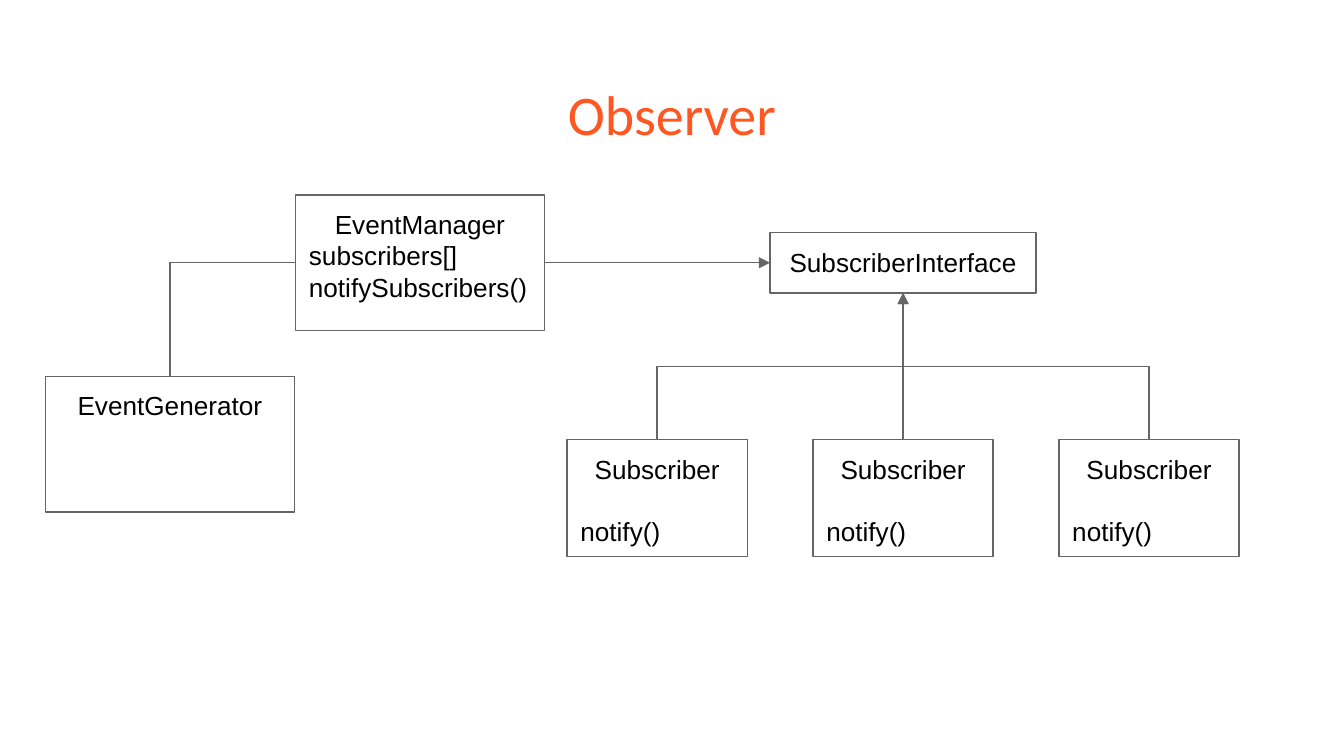
import pptx
import pptx.dml.color
import pptx.enum.shapes
import pptx.enum.text
import pptx.oxml.ns
import pptx.util
from lxml import etree

Inches = pptx.util.Inches
Pt = pptx.util.Pt
RGBColor = pptx.dml.color.RGBColor
Align = pptx.enum.text.PP_ALIGN
ConnectorType = pptx.enum.shapes.MSO_CONNECTOR
qn = pptx.oxml.ns.qn

ORANGE = RGBColor(0xFF, 0x57, 0x22)
GRAY = RGBColor(0x66, 0x66, 0x66)
BLACK = RGBColor(0, 0, 0)
TOP, LEFT, BOTTOM, RIGHT = range(4)

# Content: class name, members, space before members in points
TITLE = "Observer"
MANAGER = ("EventManager", ["subscribers[]", "notifySubscribers()"], 0)
INTERFACE = ("SubscriberInterface", [], 0)
GENERATOR = ("EventGenerator", [], 0)
SUBSCRIBER = ("Subscriber", ["notify()"], 16.5)

# Layout in inches, on a 16:9 slide
SLIDE_WIDTH = 10
SLIDE_HEIGHT = SLIDE_WIDTH * 9 / 16
SUBSCRIBER_COUNT = 3
SUBSCRIBER_LEFT, SUBSCRIBER_STEP = 4.22, 1.83


def prepare_frame(frame):
    frame.word_wrap = True
    frame.auto_size = pptx.enum.text.MSO_AUTO_SIZE.NONE
    frame.vertical_anchor = pptx.enum.text.MSO_ANCHOR.TOP
    frame.margin_left = frame.margin_right = Inches(0.1)
    frame.margin_top = frame.margin_bottom = Inches(0.1)


def add_text(paragraph, text, font_name, size, color, alignment):
    paragraph.alignment = alignment
    run = paragraph.add_run()
    run.text = text
    run.font.name = font_name
    run.font.size = Pt(size)
    run.font.color.rgb = color


def add_class_box(slide, content, left, top, width, height):
    name, members, gap = content
    box = slide.shapes.add_shape(
        pptx.enum.shapes.MSO_SHAPE.RECTANGLE,
        Inches(left), Inches(top), Inches(width), Inches(height))
    box.shadow.inherit = False
    box.fill.background()
    box.line.color.rgb = GRAY
    box.line.width = Pt(0.75)
    frame = box.text_frame
    prepare_frame(frame)
    add_text(frame.paragraphs[0], name, "Arial", 14, BLACK, Align.CENTER)
    for index, member in enumerate(members):
        paragraph = frame.add_paragraph()
        add_text(paragraph, member, "Arial", 14, BLACK, Align.LEFT)
        paragraph.space_before = Pt(gap if index == 0 else 0)
    return box


def style_connector(connector, arrow):
    connector.line.color.rgb = GRAY
    connector.line.width = Pt(0.75)
    properties = connector._element.spPr
    if arrow:
        etree.SubElement(properties.find(qn("a:ln")), qn("a:tailEnd"), type="triangle")
    etree.SubElement(properties, qn("a:effectLst"))


def side_point(box, side):
    x = {LEFT: box.left, RIGHT: box.left + box.width}.get(side, box.left + box.width // 2)
    y = {TOP: box.top, BOTTOM: box.top + box.height}.get(side, box.top + box.height // 2)
    return x, y


def join_straight(slide, start, start_side, end, end_side):
    connector = slide.shapes.add_connector(
        ConnectorType.STRAIGHT, *side_point(start, start_side), *side_point(end, end_side))
    connector.begin_connect(start, start_side)
    connector.end_connect(end, end_side)
    style_connector(connector, True)


def join_upward(slide, start, end, end_side, preset, arrow):
    """Elbow that leaves the top of start going up: a quarter-turned connector."""
    start_x, start_y = side_point(start, TOP)
    end_x, end_y = side_point(end, end_side)
    rise, run = start_y - end_y, abs(end_x - start_x)
    left = (start_x + end_x - rise) // 2
    top = (start_y + end_y - run) // 2
    goes_right = end_x > start_x
    begin_x, finish_x = (left, left + rise) if goes_right else (left + rise, left)
    connector = slide.shapes.add_connector(
        ConnectorType.ELBOW, begin_x, top, finish_x, top + run)
    properties = connector._element.spPr
    properties.find(qn("a:xfrm")).set("rot", str((270 if goes_right else 90) * 60000))
    properties.find(qn("a:prstGeom")).set("prst", preset)
    style_connector(connector, arrow)


def main():
    presentation = pptx.Presentation()
    presentation.slide_width = Inches(SLIDE_WIDTH)
    presentation.slide_height = Inches(SLIDE_HEIGHT)
    slide = presentation.slides.add_slide(presentation.slide_layouts[5])

    # Title
    title = slide.shapes.title
    title.left, title.top = Inches(0.34), Inches(0.49)
    title.width, title.height = Inches(9.32), Inches(0.63)
    prepare_frame(title.text_frame)
    add_text(title.text_frame.paragraphs[0], TITLE, "Calibri", 30, ORANGE, Align.CENTER)

    # Class boxes
    manager = add_class_box(slide, MANAGER, 2.2, 1.45, 1.85, 1.01)
    interface = add_class_box(slide, INTERFACE, 5.73, 1.73, 1.98, 0.45)
    first, middle, last = [
        add_class_box(slide, SUBSCRIBER, SUBSCRIBER_LEFT + index * SUBSCRIBER_STEP,
                      3.27, 1.34, 0.87)
        for index in range(SUBSCRIBER_COUNT)]
    generator = add_class_box(slide, GENERATOR, 0.34, 2.8, 1.85, 1.01)

    # Relations
    join_straight(slide, middle, TOP, interface, BOTTOM)
    join_upward(slide, last, interface, BOTTOM, "bentConnector3", True)
    join_upward(slide, first, interface, BOTTOM, "bentConnector3", False)
    join_straight(slide, manager, RIGHT, interface, LEFT)
    join_upward(slide, generator, manager, LEFT, "bentConnector2", False)

    presentation.save("out.pptx")


if __name__ == "__main__":
    main()
